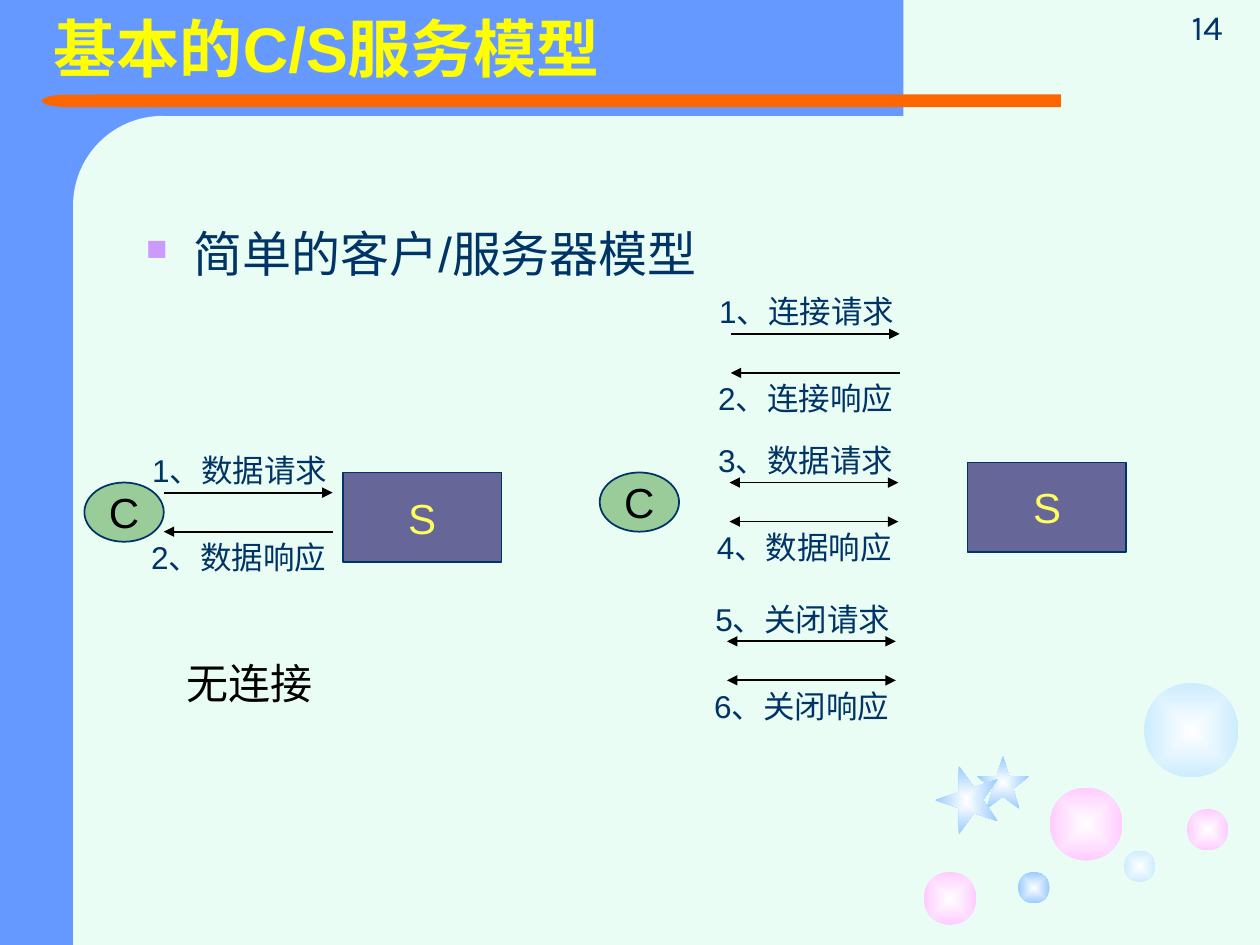
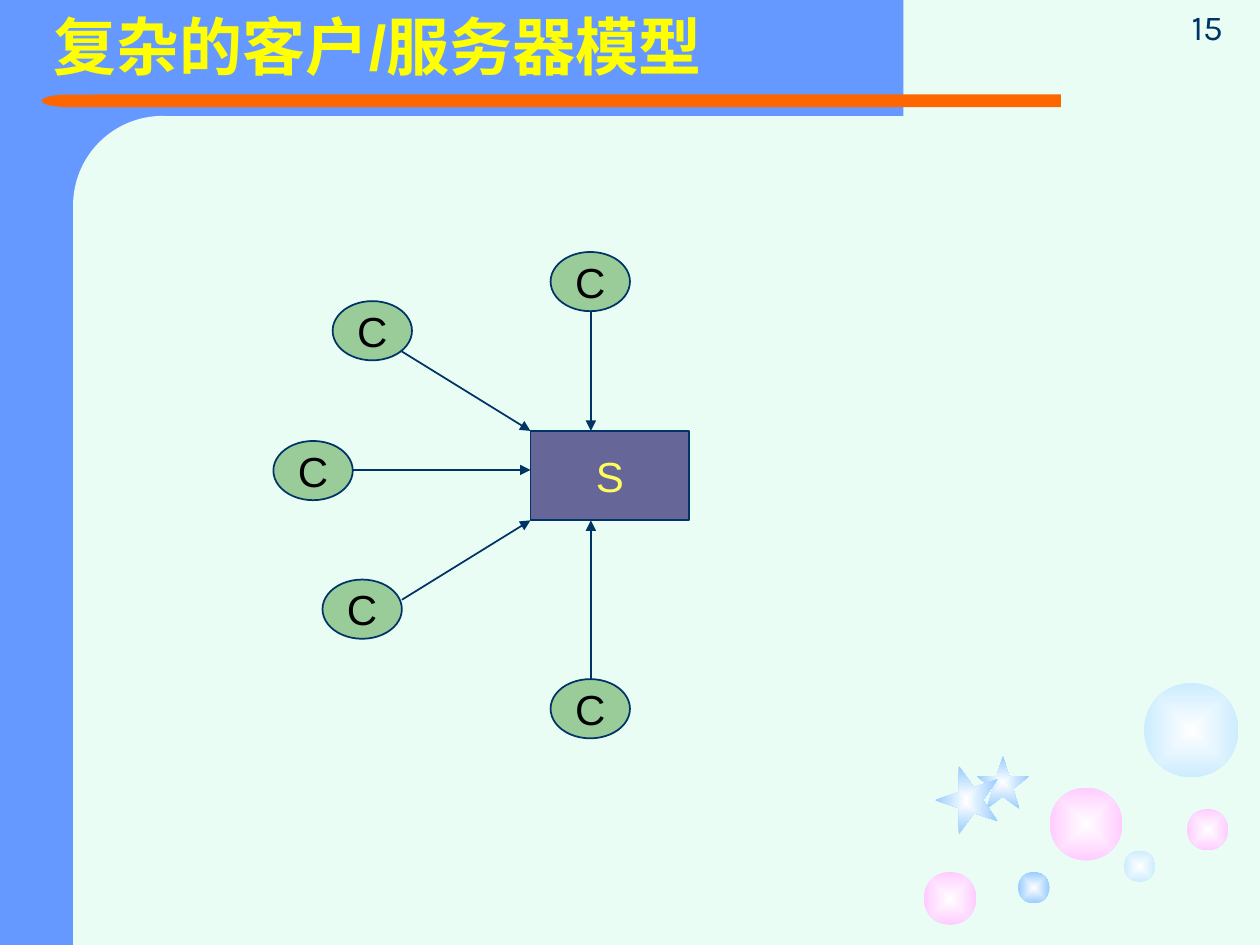
from lxml import etree
from pptx import Presentation
from pptx.dml.color import RGBColor
from pptx.enum.shapes import MSO_CONNECTOR, MSO_SHAPE
from pptx.enum.text import MSO_ANCHOR, MSO_AUTO_SIZE, PP_ALIGN
from pptx.oxml.ns import qn
from pptx.util import Inches, Pt

RECT, OVAL = MSO_SHAPE.RECTANGLE, MSO_SHAPE.OVAL
ROUND, DELAY = MSO_SHAPE.ROUNDED_RECTANGLE, MSO_SHAPE.FLOWCHART_DELAY
STAR = MSO_SHAPE.STAR_5_POINT
LINE = MSO_CONNECTOR.STRAIGHT
TOP, MID, LOW = MSO_ANCHOR.TOP, MSO_ANCHOR.MIDDLE, MSO_ANCHOR.BOTTOM
CENTER = PP_ALIGN.CENTER
GROW = MSO_AUTO_SIZE.SHAPE_TO_FIT_TEXT

MINT = RGBColor(0xE9, 0xFD, 0xF4)
BLUE = RGBColor(0x66, 0x99, 0xFF)
ORANGE = RGBColor(0xFF, 0x66, 0x00)
NAVY = RGBColor(0x00, 0x33, 0x66)
GREEN = RGBColor(0x99, 0xCC, 0x99)
SLATE = RGBColor(0x66, 0x66, 0x99)
LEMON = RGBColor(0xFE, 0xFF, 0x5E)
YELLOW = RGBColor(0xFF, 0xFF, 0x00)
BLACK = RGBColor(0x00, 0x00, 0x00)
WHITE = RGBColor(0xFF, 0xFF, 0xFF)
PINK = RGBColor(0xFF, 0xCC, 0xFF)
PALE = RGBColor(0xCC, 0xEC, 0xFF)
SKY = RGBColor(0x99, 0xCC, 0xFF)
LILAC = RGBColor(0xCC, 0x99, 0xFF)

BANDS = [
    (RECT, (0, 0, 1.25, 7.5), BLUE),
    (RECT, (0.5, 0, 6.67, 0.92), BLUE),
    (ROUND, (0.58, 0.92, 1.42, 5.75), MINT),
    (RECT, (0.75, 0.75, 7.67, 0.1), ORANGE),
    (DELAY, (0.33, 0.75, 0.43, 0.1), ORANGE),
    (RECT, (0.58, 5.92, 1.42, 1.58), MINT),
]
DECOR = [
    (OVAL, (8.33, 6.25, 0.58, 0.58), PINK, 0),
    (OVAL, (7.33, 6.92, 0.42, 0.42), PINK, 0),
    (OVAL, (8.92, 6.75, 0.25, 0.25), PALE, 0),
    (OVAL, (9.42, 6.42, 0.33, 0.33), PINK, 0),
    (OVAL, (9.08, 5.42, 0.75, 0.75), PALE, 0),
    (OVAL, (8.08, 6.92, 0.25, 0.25), SKY, 0),
    (STAR, (7.75, 6, 0.42, 0.42), SKY, 0),
    (STAR, (7.4, 6.1, 0.54, 0.5), SKY, 270),
]

BASIC = {
    "title": "基本的C/S服务模型", "at": (0.33, 0, 8.42, 0.83),
    "anchor": MID, "spacing": 0.9, "page": "14",
    "clients": [(0.67, 3.83), (4.76, 3.75)],
    "servers": [(2.72, 3.75), (7.68, 3.67)],
}
TOPIC = "简单的客户/服务器模型"
CAPTION = "无连接"
CALLS = [
    (1.3, 3.91, "1、数据请求", "2、数据响应", False),
    (5.79, 3.83, "3、数据请求", "4、数据响应", True),
    (5.8, 2.65, "1、连接请求", "2、连接响应", False),
    (5.77, 5.09, "5、关闭请求", "6、关闭响应", True),
]
REACH, GAP = 1.34, 0.31

COMPLEX = {
    "title": "复杂的客户/服务器模型", "at": (0.33, 0.13, 6.36, 0.68),
    "anchor": TOP, "spacing": 0.8, "page": "15",
    "clients": [(2.17, 3.5), (2.64, 2.39), (4.37, 2), (2.56, 4.6), (4.37, 5.39)],
    "servers": [(4.21, 3.42)],
}
LINKS = [
    ((2.8, 3.73), (4.21, 3.73)),
    ((3.19, 2.79), (4.21, 3.42)),
    ((3.19, 4.76), (4.21, 4.13)),
    ((4.69, 2.47), (4.69, 3.42)),
    ((4.69, 5.39), (4.69, 4.13)),
]


def inch(at):
    return [Inches(v) for v in at]


def add_part(slide, kind, at, fill=None, edge=None):
    part = slide.shapes.add_shape(kind, *inch(at))
    part.shadow.inherit = False
    if fill is None:
        part.fill.background()
    else:
        part.fill.solid()
        part.fill.fore_color.rgb = fill
    if edge is None:
        part.line.fill.background()
    else:
        part.line.color.rgb = edge
        part.line.width = Pt(1)
    return part


def set_glow(part, color):
    none = part.fill._xPr.find(qn("a:noFill"))
    grad = etree.Element(qn("a:gradFill"), rotWithShape="1")
    stops = etree.SubElement(grad, qn("a:gsLst"))
    for pos, tone in (("0", WHITE), ("100000", color)):
        stop = etree.SubElement(stops, qn("a:gs"), pos=pos)
        etree.SubElement(stop, qn("a:srgbClr"), val=str(tone))
    way = etree.SubElement(grad, qn("a:path"))
    way.set("path", "rect")
    sides = {side: "50000" for side in "ltrb"}
    etree.SubElement(way, qn("a:fillToRect"), **sides)
    none.getparent().replace(none, grad)


def style(para, size, color, font="Arial", bold=False):
    for run in para.runs:
        run.font.size = Pt(size)
        run.font.name = font
        run.font.bold = bold
        run.font.color.rgb = color


def add_text(slide, at, text, size, color, wrap=False, anchor=TOP,
             font="Arial", bold=False):
    box = slide.shapes.add_textbox(*inch(at))
    frame = box.text_frame
    frame.text = text
    frame.word_wrap = wrap
    frame.vertical_anchor = anchor
    if not wrap:
        frame.auto_size = GROW
    style(frame.paragraphs[0], size, color, font, bold)
    return frame.paragraphs[0]


def add_node(slide, kind, at, text, fill, color):
    frame = add_part(slide, kind, at, fill, NAVY).text_frame
    frame.text = text
    frame.word_wrap = False
    frame.vertical_anchor = MID
    frame.paragraphs[0].alignment = CENTER
    style(frame.paragraphs[0], 24, color)


def add_arrow(slide, start, end, color, both=False):
    link = slide.shapes.add_connector(LINE, *inch(start + end))
    link.line.color.rgb = color
    link.line.width = Pt(1)
    ends = ("headEnd", "tailEnd") if both else ("tailEnd",)
    for tip in ends:
        etree.SubElement(link.line._get_or_add_ln(), qn("a:" + tip), type="triangle")
    etree.SubElement(link._element.spPr, qn("a:effectLst"))


def add_bullet(para):
    props = para._p.get_or_add_pPr()
    props.set("marL", str(Inches(0.38)))
    props.set("indent", str(-Inches(0.38)))
    tint = etree.SubElement(props, qn("a:buClr"))
    etree.SubElement(tint, qn("a:srgbClr"), val=str(LILAC))
    etree.SubElement(props, qn("a:buSzPct"), val="60000")
    etree.SubElement(props, qn("a:buChar"), char="■")


def add_slide(deck, data):
    slide = deck.slides.add_slide(deck.slide_layouts[6])
    slide.background.fill.solid()
    slide.background.fill.fore_color.rgb = MINT
    for kind, at, fill in BANDS:
        band = add_part(slide, kind, at, fill)
        if kind == ROUND:
            band.adjustments[0] = 0.5
        if kind == DELAY:
            band.rotation = 180
    for kind, at, tone, turn in DECOR:
        part = add_part(slide, kind, at)
        part.rotation = turn
        set_glow(part, tone)
    title = add_text(slide, data["at"], data["title"], 36, YELLOW, True,
                     data["anchor"], bold=True)
    title.line_spacing = data["spacing"]
    for x, y in data["clients"]:
        add_node(slide, OVAL, (x, y, 0.63, 0.47), "C", GREEN, BLACK)
    for x, y in data["servers"]:
        add_node(slide, RECT, (x, y, 1.26, 0.71), "S", SLATE, LEMON)
    add_text(slide, (9.36, -0.05, 0.64, 0.48), data["page"], 20, NAVY, True,
             LOW, "Karla")
    return slide


def add_calls(slide):
    topic = add_text(slide, (1.06, 1.78, 8.5, 0.62), TOPIC, 28, NAVY, True)
    topic.line_spacing = 0.9
    add_bullet(topic)
    for x, y, ask, reply, both in CALLS:
        far, low = x + REACH, y + GAP
        add_arrow(slide, (x, y), (far, y), BLACK, both)
        add_arrow(slide, (far, low), (x, low), BLACK, both)
        add_text(slide, (x - 0.19, y - 0.38, 1.65, 0.4), ask, 18, NAVY)
        add_text(slide, (x - 0.2, low, 1.65, 0.4), reply, 18, NAVY)
    add_text(slide, (1.38, 5.17, 1.2, 0.5), CAPTION, 24, BLACK)


def main():
    deck = Presentation()
    deck.slide_width, deck.slide_height = Inches(10), Inches(7.5)
    add_calls(add_slide(deck, BASIC))
    slide = add_slide(deck, COMPLEX)
    for start, end in LINKS:
        add_arrow(slide, start, end, NAVY)
    deck.save("out.pptx")


if __name__ == "__main__":
    main()
